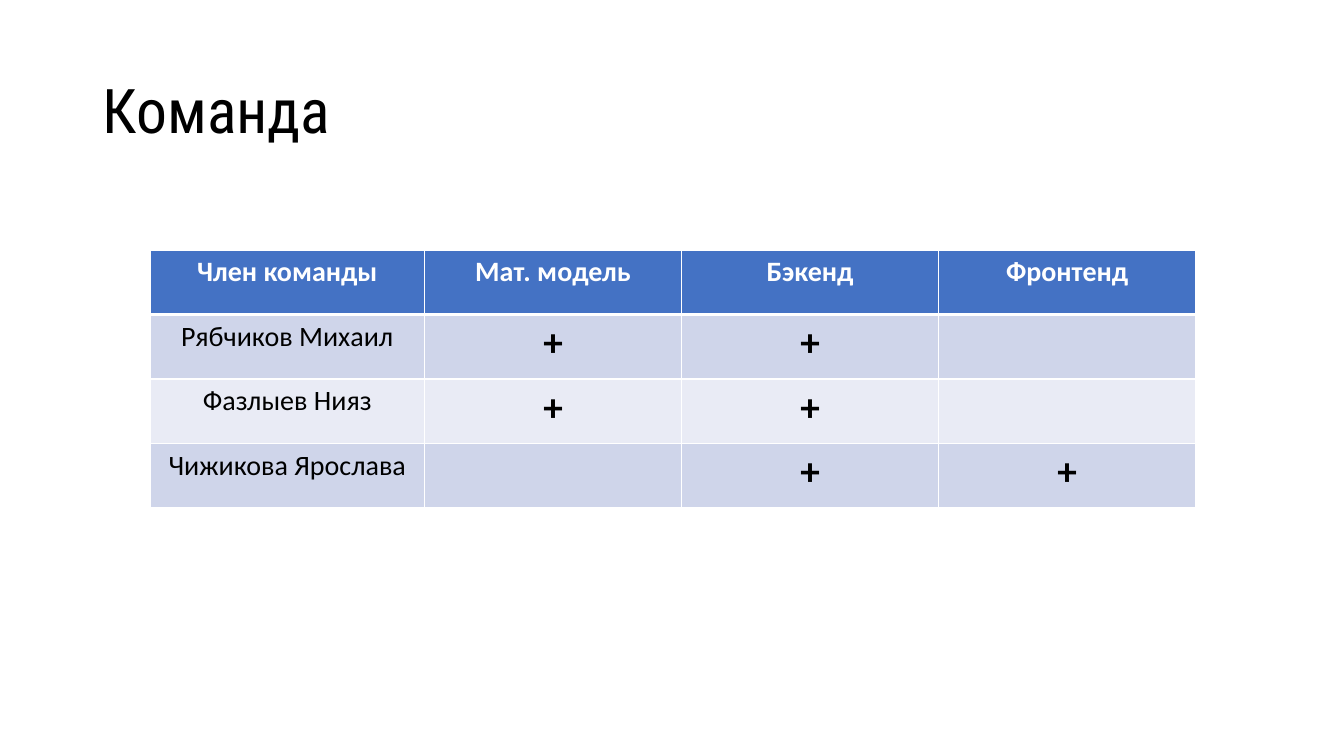
"""Build the team slide with its table of roles."""
from dataclasses import dataclass

from lxml import etree
from pptx import Presentation
from pptx.dml.color import RGBColor
from pptx.enum import text
from pptx.oxml import ns
from pptx.util import Inches, Pt


@dataclass(frozen=True)
class Theme:
    white: str = "FFFFFF"
    black: str = "000000"
    head: str = "4472C4"
    odd: str = "CFD5EA"
    even: str = "E9EBF5"
    title: str = "Roboto Condensed"
    body: str = "Calibri"
    big: int = 44
    mark: int = 28
    base: int = 20


@dataclass(frozen=True)
class Member:
    name: str
    roles: tuple[str, ...]


THEME = Theme()
ROLES = ("Мат. модель", "Бэкенд", "Фронтенд")
TEAM = (
    Member("Рябчиков Михаил", ROLES[:2]),
    Member("Фазлыев Нияз", ROLES[:2]),
    Member("Чижикова Ярослава", ROLES[1:]),
)
WIDTHS = (2.72, 2.55, 2.55, 2.55)
HEIGHT = 0.64


def style(para, face: str, size: int, color: str, bold: bool = False) -> None:
    font = para.font
    font.name, font.size, font.bold = face, Pt(size), bold
    font.color.rgb = RGBColor.from_string(color)


def border(cell, bottom: int) -> None:
    props = cell._tc.get_or_add_tcPr()
    for side, width in (("L", 1), ("R", 1), ("T", 1), ("B", bottom)):
        line = etree.SubElement(props, ns.qn(f"a:ln{side}"), w=str(Pt(width)))
        fill = etree.SubElement(line, ns.qn("a:solidFill"))
        etree.SubElement(fill, ns.qn("a:srgbClr"), val=THEME.white)


def paint(cell, words: str, row: int) -> None:
    head = row == 0
    mark = words == "+"
    border(cell, 3 if head else 1)
    cell.fill.solid()
    shade = THEME.head if head else THEME.odd if row % 2 else THEME.even
    cell.fill.fore_color.rgb = RGBColor.from_string(shade)
    cell.text = words
    para = cell.text_frame.paragraphs[0]
    para.alignment = text.PP_ALIGN.CENTER
    style(para, THEME.body, THEME.mark if mark else THEME.base,
          THEME.white if head else THEME.black, head or mark)


def add_title(slide, words: str) -> None:
    box = slide.shapes.add_textbox(
        Inches(0.92), Inches(0.4), Inches(11.5), Inches(1.45))
    frame = box.text_frame
    frame.word_wrap = True
    frame.vertical_anchor = text.MSO_ANCHOR.MIDDLE
    frame.text = words
    para = frame.paragraphs[0]
    para.line_spacing = 0.9
    style(para, THEME.title, THEME.big, THEME.black)


def add_team(slide) -> None:
    rows = [("Член команды", *ROLES)]
    for member in TEAM:
        marks = ("+" if role in member.roles else "" for role in ROLES)
        rows.append((member.name, *marks))
    table = slide.shapes.add_table(
        len(rows), len(WIDTHS), Inches(1.49), Inches(2.48),
        Inches(sum(WIDTHS)), Inches(HEIGHT * len(rows))).table
    for column, width in zip(table.columns, WIDTHS):
        column.width = Inches(width)
    for index, row in enumerate(rows):
        table.rows[index].height = Inches(HEIGHT)
        for place, words in enumerate(row):
            paint(table.cell(index, place), words, index)


def main() -> None:
    deck = Presentation()
    deck.slide_width, deck.slide_height = Inches(13.33), Inches(7.5)
    slide = deck.slides.add_slide(deck.slide_layouts[6])
    add_title(slide, "Команда")
    add_team(slide)
    deck.save("out.pptx")


if __name__ == "__main__":
    main()
